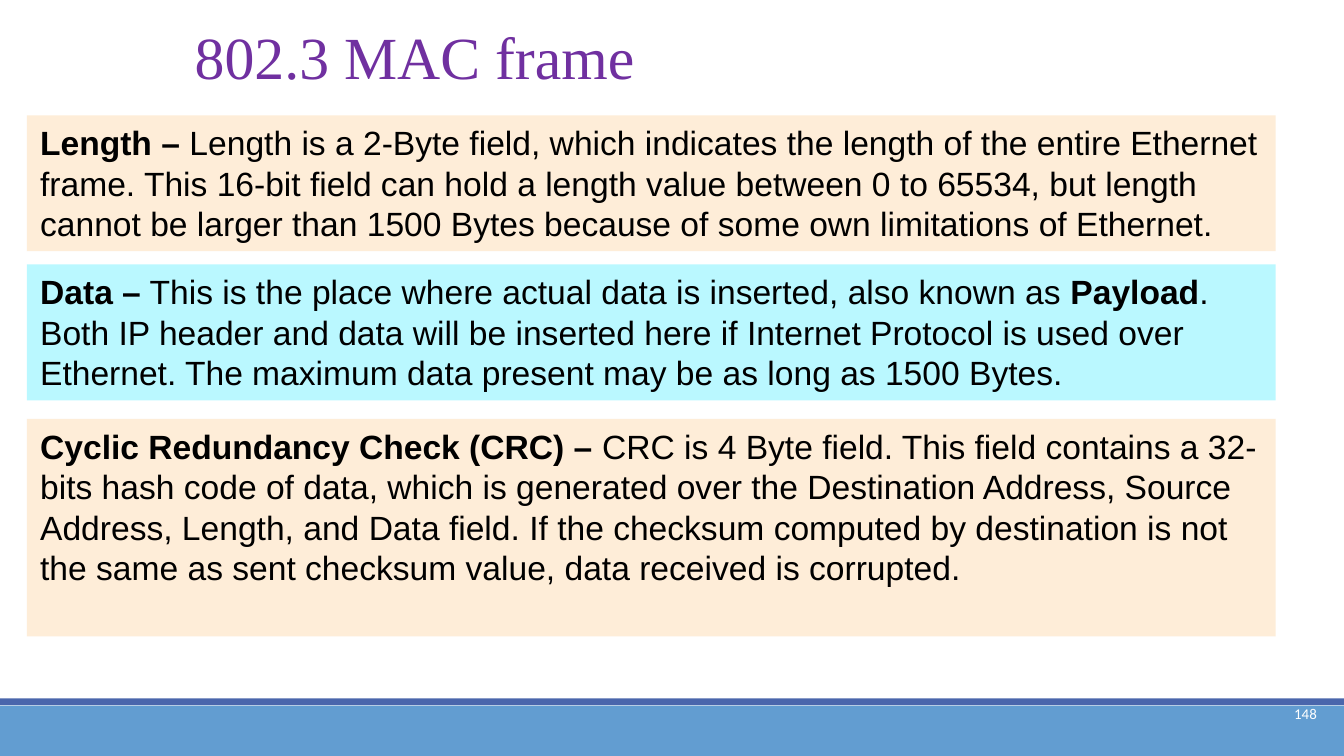
from pptx import Presentation
from pptx.dml.color import RGBColor
from pptx.enum.shapes import MSO_SHAPE as Shape
from pptx.enum.text import MSO_ANCHOR as Anchor, MSO_AUTO_SIZE as Fit, PP_ALIGN as Align
from pptx.util import Cm, Pt


def color(code):
    return RGBColor.from_string(code)


def write(shape, parts, font="Arial", size=18, ink="000000",
          align=Align.LEFT, anchor=Anchor.TOP, inset=(0.25, 0.13)):
    """Fill a shape with one paragraph made of (text, bold) parts."""
    frame = shape.text_frame
    frame.word_wrap = True
    frame.auto_size = Fit.NONE
    frame.vertical_anchor = anchor
    frame.margin_left = frame.margin_right = Cm(inset[0])
    frame.margin_top = frame.margin_bottom = Cm(inset[1])
    para = frame.paragraphs[0]
    para.alignment = align
    for text, bold in parts:
        run = para.add_run()
        run.text = text
        run.font.name = font
        run.font.size = Pt(size)
        run.font.bold = bold
        run.font.color.rgb = color(ink)


class Page:
    peach, aqua = "FEEDD8", "BAF8FF"
    blue, navy = "629DD1", "4A66AC"
    purple, white = "7030A0", "FFFFFF"

    def __init__(self, deck):
        self.slide = deck.slides.add_slide(deck.slide_layouts[5])

    def rect(self, left, top, width, height, fill):
        box = self.slide.shapes.add_shape(
            Shape.RECTANGLE, Cm(left), Cm(top), Cm(width), Cm(height))
        box.shadow.inherit = False
        box.fill.solid()
        box.fill.fore_color.rgb = color(fill)
        box.line.fill.background()
        return box

    def title(self, text):
        head = self.slide.shapes.title
        head.left, head.top = Cm(3.43), Cm(0.25)
        head.width, head.height = Cm(21.84), Cm(1.63)
        write(head, [(text, False)], font="Times New Roman", size=32, ink=self.purple)

    def panel(self, top, height, fill, parts):
        write(self.rect(0.51, top, 23.6, height, fill), parts)

    def number(self, text):
        box = self.slide.shapes.add_textbox(Cm(23.55), Cm(12.95), Cm(1.52), Cm(1.09))
        write(box, [(text, False)], font="Calibri", size=8, ink=self.white,
              align=Align.RIGHT, anchor=Anchor.MIDDLE, inset=(0.18, 0.1))


deck = Presentation()
deck.slide_width, deck.slide_height = Cm(25.4), Cm(14.29)
page = Page(deck)

# Footer bands and page number
page.rect(0, 13.34, 25.4, 0.95, page.blue)
page.rect(0, 13.2, 25.4, 0.13, page.navy)
page.number("148")

# Title
page.title("802.3 MAC frame")

# Frame fields
page.panel(2.18, 2.57, page.peach, [
    ("Length – ", True),
    ("Length is a 2-Byte field, which indicates the length of the entire Ethernet "
     "frame. This 16-bit field can hold a length value between 0 to 65534, but length "
     "cannot be larger than 1500 Bytes because of some own limitations of Ethernet.", False),
])
page.panel(5, 2.57, page.aqua, [
    ("Data –", True),
    (" This is the place where actual data is inserted, also known as ", False),
    ("Payload", True),
    (". Both IP header and data will be inserted here if Internet Protocol is used over "
     "Ethernet. The maximum data present may be as long as 1500 Bytes.", False),
])
page.panel(7.92, 4.11, page.peach, [
    ("Cyclic Redundancy Check (CRC) – ", True),
    ("CRC is 4 Byte field. This field contains a 32-bits hash code of data, which is "
     "generated over the Destination Address, Source Address, Length, and Data field. "
     "If the checksum computed by destination is not the same as sent checksum value, "
     "data received is corrupted.", False),
])

deck.save("out.pptx")
